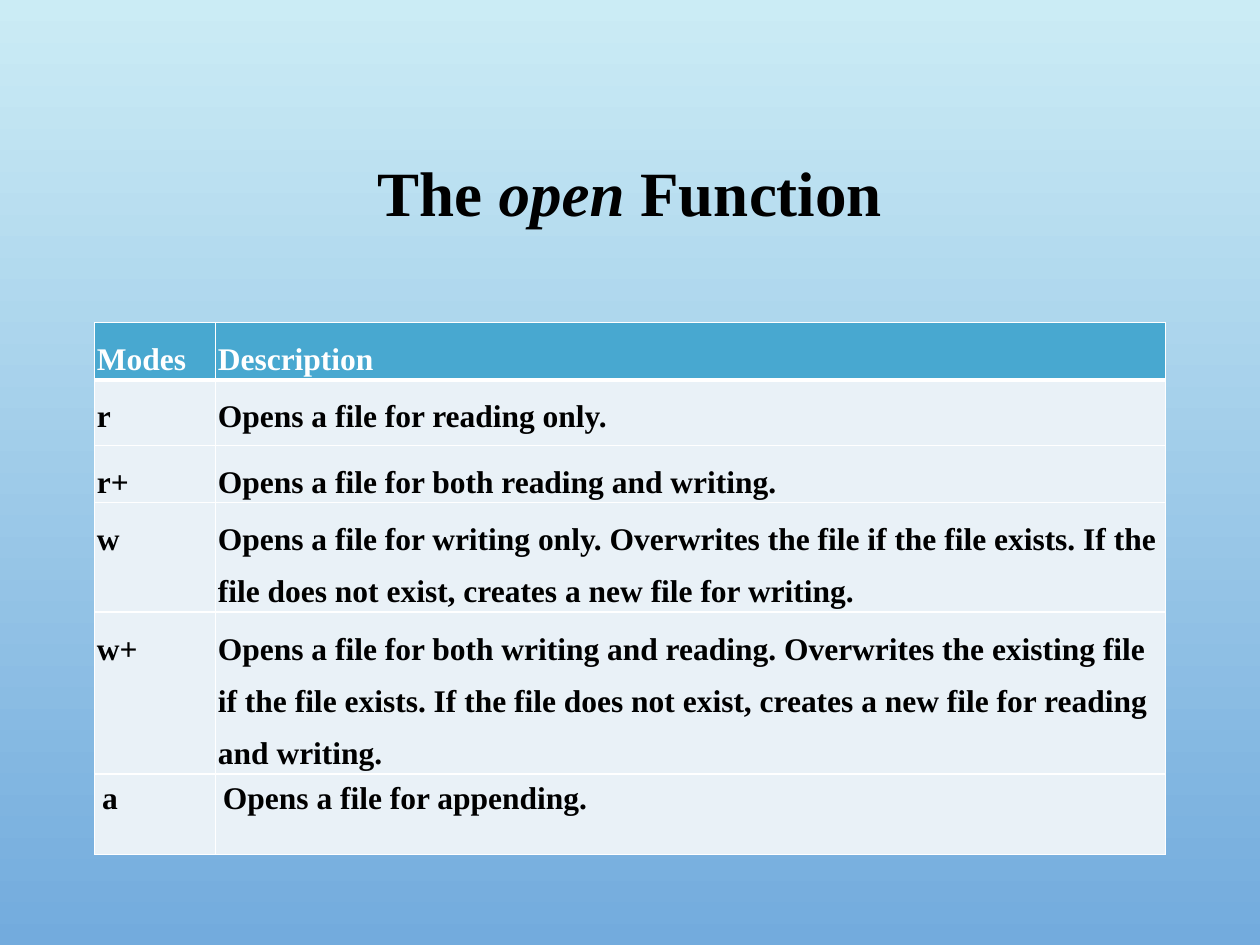
from lxml import etree
from pptx import Presentation
from pptx import util as u
from pptx.dml.color import RGBColor
from pptx.enum import text
from pptx.oxml import ns

COLORS = {
    "sky": "CBECF5",
    "blue": "73ABDD",
    "header": "48A8D0",
    "body": "E9F1F7",
    "white": "FFFFFF",
    "black": "000000",
}
FONT = "Times New Roman"

MODES = [
    ("Modes", "Description"),
    ("r", "Opens a file for reading only."),
    ("r+", "Opens a file for both reading and writing."),
    ("w", "Opens a file for writing only. Overwrites the file if the file "
          "exists. If the file does not exist, creates a new file for writing."),
    ("w+", "Opens a file for both writing and reading. Overwrites the existing "
           "file if the file exists. If the file does not exist, creates a new "
           "file for reading and writing."),
    ("a", "Opens a file for appending."),
]
COLUMN_WIDTHS = [0.96, 7.54]
ROW_HEIGHTS = [0.45, 0.52, 0.45, 0.87, 1.28, 0.64]


def rgb(name):
    return RGBColor.from_string(COLORS[name])


class SlideBuilder:
    """Holds the style and the current slide."""

    def __init__(self, slide, font):
        self.slide = slide
        self.font = font

    def background(self, top, bottom):
        fill = self.slide.background.fill
        fill.gradient()
        fill.gradient_angle = 270
        for stop, color, position in zip(fill.gradient_stops, (top, bottom), (0, 1)):
            stop.color.rgb = rgb(color)
            stop.position = position

    def format_run(self, r, size, color, italic=False):
        r.font.name = self.font
        r.font.size = u.Pt(size)
        r.font.bold = True
        r.font.italic = italic
        r.font.color.rgb = rgb(color)

    def title(self, parts, left, top, width, height):
        """Fill the title from (wording, italic) pairs."""
        sp = self.slide.shapes.title
        sp.left, sp.top = u.Inches(left), u.Inches(top)
        sp.width, sp.height = u.Inches(width), u.Inches(height)
        tf = sp.text_frame
        tf.vertical_anchor = text.MSO_ANCHOR.MIDDLE
        p = tf.paragraphs[0]
        p.alignment = text.PP_ALIGN.CENTER
        p.line_spacing = 0.9
        for wording, italic in parts:
            r = p.add_run()
            r.text = wording
            self.format_run(r, 36, "black", italic)

    def borders(self, cell, **widths):
        """Draw white cell borders; widths in points by side L, R, T, B."""
        tc_pr = cell._tc.get_or_add_tcPr()
        for side, width in widths.items():
            ln = etree.SubElement(tc_pr, ns.qn(f"a:ln{side}"), w=str(u.Pt(width)))
            fill = etree.SubElement(ln, ns.qn("a:solidFill"))
            etree.SubElement(fill, ns.qn("a:srgbClr"), val=COLORS["white"])

    def cell(self, cell, wording, fill, color, inset, spacing, top, bottom):
        self.borders(cell, L=1, R=1, T=top, B=bottom)
        cell.fill.solid()
        cell.fill.fore_color.rgb = rgb(fill)
        cell.margin_left = cell.margin_right = u.Inches(inset)
        cell.margin_top = cell.margin_bottom = u.Inches(inset)
        p = cell.text_frame.paragraphs[0]
        p.text = wording
        p.line_spacing = spacing
        self.format_run(p.runs[0], 18, color)

    def table(self, rows, left, top, widths, heights):
        frame = self.slide.shapes.add_table(
            len(rows), len(widths), u.Inches(left), u.Inches(top),
            u.Inches(sum(widths)), u.Inches(sum(heights)))
        table = frame.table
        for column, width in zip(table.columns, widths):
            column.width = u.Inches(width)
        for row, height in zip(table.rows, heights):
            row.height = u.Inches(height)
        last = len(rows) - 1
        for i, row in enumerate(rows):
            fill, color = ("header", "white") if i == 0 else ("body", "black")
            inset, spacing = (0.06, 1.0) if i == last else (0.02, 1.5)
            for j, wording in enumerate(row):
                self.cell(table.cell(i, j), wording, fill, color, inset, spacing,
                          top=3 if i == 1 else 1, bottom=3 if i == 0 else 1)


def main():
    prs = Presentation()
    prs.slide_width, prs.slide_height = u.Inches(10), u.Inches(7.5)
    s = SlideBuilder(prs.slides.add_slide(prs.slide_layouts[5]), FONT)
    s.background("sky", "blue")
    s.title([("The ", False), ("open ", True), ("Function", False)],
            0.75, 0.68, 8.5, 1.75)
    s.table(MODES, 0.75, 2.56, COLUMN_WIDTHS, ROW_HEIGHTS)
    prs.save("out.pptx")


if __name__ == "__main__":
    main()
